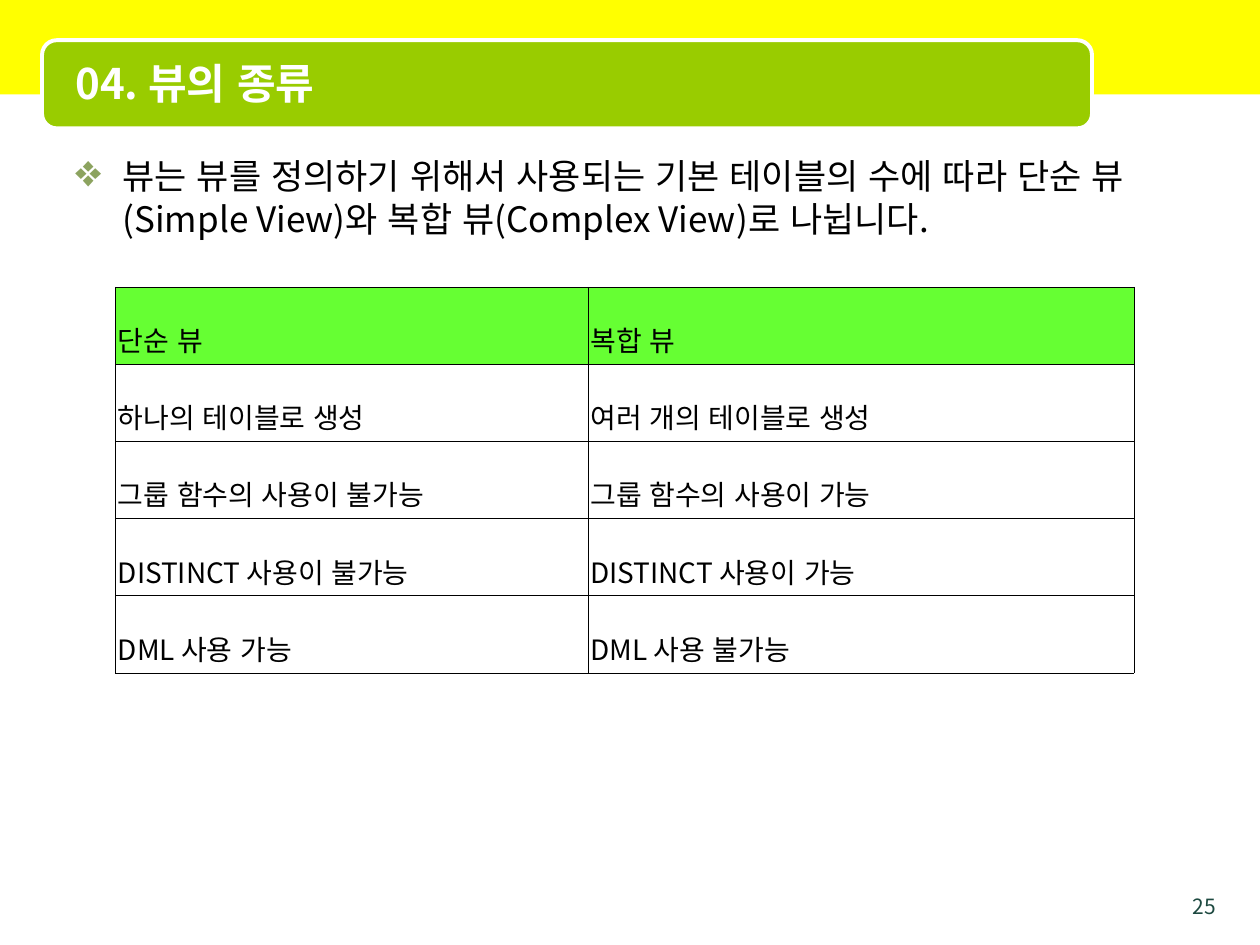
"""Builds a slide comparing simple views and complex views."""
import lxml.etree
import pptx
import pptx.dml.color
import pptx.enum.lang
import pptx.enum.shapes
import pptx.enum.text
import pptx.oxml
import pptx.oxml.ns
import pptx.util

Pt = pptx.util.Pt
RGB = pptx.dml.color.RGBColor.from_string
ALIGN = pptx.enum.text.PP_ALIGN
MIDDLE = pptx.enum.text.MSO_ANCHOR.MIDDLE
SHAPE = pptx.enum.shapes.MSO_SHAPE
KOREAN = pptx.enum.lang.MSO_LANGUAGE_ID.KOREAN
qn = pptx.oxml.ns.qn

TITLE = "04. 뷰의 종류"
SUMMARY = ("뷰는 뷰를 정의하기 위해서 사용되는 기본 테이블의 수에 따라 "
           "단순 뷰(Simple View)와 복합 뷰(Complex View)로 나뉩니다.")
COMPARISON = [
    ("단순 뷰", "복합 뷰"),
    ("하나의 테이블로 생성", "여러 개의 테이블로 생성"),
    ("그룹 함수의 사용이 불가능", "그룹 함수의 사용이 가능"),
    ("DISTINCT 사용이 불가능", "DISTINCT 사용이 가능"),
    ("DML 사용 가능", "DML 사용 불가능"),
]
PAGE_NUMBER = "25"

THEME = {
    "font": "Noto Sans CJK KR",
    "band": "FFFF00", "banner": "99CC00", "light": "FFFFFF",
    "ink": "000000", "bullet": "8CA35F", "header": "66FF33", "page": "1D4940",
    "title_size": 24, "body_size": 20, "cell_size": 16, "page_size": 12,
}
COLUMN_WIDTHS = (270, 312)
ROW_HEIGHT = 44.1
BORDER_WIDTH = 0.11


def write(frame, text, size, color="ink", bold=False, align=ALIGN.LEFT,
          spacing=None, bullet=None, indent=0):
    frame.word_wrap = True
    paragraph = frame.paragraphs[0]
    paragraph.alignment = align
    if spacing:
        paragraph.line_spacing = spacing
    if bullet:
        properties = paragraph._p.get_or_add_pPr()
        properties.set("marL", str(Pt(indent)))
        properties.set("indent", str(-Pt(indent)))
        bullet_color = lxml.etree.SubElement(properties, qn("a:buClr"))
        lxml.etree.SubElement(bullet_color, qn("a:srgbClr"), val=THEME["bullet"])
        lxml.etree.SubElement(properties, qn("a:buSzPct"), val="130000")
        lxml.etree.SubElement(properties, qn("a:buChar"), char=bullet)
    run = paragraph.add_run()
    run.text = text
    run.font.size = Pt(THEME[size])
    run.font.bold = bold
    run.font.color.rgb = RGB(THEME[color])
    run.font.language_id = KOREAN
    run.font.name = THEME["font"]
    lxml.etree.SubElement(run._r.get_or_add_rPr(), qn("a:ea"), typeface=THEME["font"])


def add_panel(slide, kind, box, color):
    panel = slide.shapes.add_shape(kind, *map(Pt, box))
    panel.shadow.inherit = False
    panel.fill.solid()
    panel.fill.fore_color.rgb = RGB(THEME[color])
    panel.line.fill.background()
    return panel


def add_text(slide, box, text, size, **style):
    frame = slide.shapes.add_textbox(*map(Pt, box)).text_frame
    write(frame, text, size, **style)
    return frame


def add_borders(cell):
    properties = cell._tc.get_or_add_tcPr()
    for position, side in enumerate(("a:lnL", "a:lnR", "a:lnT", "a:lnB")):
        border = lxml.etree.Element(qn(side), w=str(Pt(BORDER_WIDTH)))
        fill = lxml.etree.SubElement(border, qn("a:solidFill"))
        lxml.etree.SubElement(fill, qn("a:srgbClr"), val=THEME["ink"])
        properties.insert(position, border)


def add_comparison(slide, left, top):
    size = (sum(COLUMN_WIDTHS), ROW_HEIGHT * len(COMPARISON))
    table = slide.shapes.add_table(len(COMPARISON), len(COLUMN_WIDTHS),
                                   *map(Pt, (left, top, *size))).table
    table.first_row = table.horz_banding = False
    for column, width in zip(table.columns, COLUMN_WIDTHS):
        column.width = Pt(width)
    for row, labels in enumerate(COMPARISON):
        table.rows[row].height = Pt(ROW_HEIGHT)
        for column, label in enumerate(labels):
            cell = table.cell(row, column)
            cell.margin_left = cell.margin_right = Pt(1.4)
            cell.margin_top, cell.margin_bottom = Pt(4.7), Pt(8.7)
            cell.vertical_anchor = MIDDLE
            if row == 0:
                cell.fill.solid()
                cell.fill.fore_color.rgb = RGB(THEME["header"])
            else:
                cell.fill.background()
            add_borders(cell)
            write(cell.text_frame, label, "cell_size", align=ALIGN.JUSTIFY, spacing=1.6)


def main():
    deck = pptx.Presentation()
    deck.slide_width, deck.slide_height = Pt(720), Pt(540)
    slide = deck.slides.add_slide(deck.slide_layouts[6])

    add_panel(slide, SHAPE.RECTANGLE, (0, 0, 720, 54), "band")
    banner = add_panel(slide, SHAPE.ROUNDED_RECTANGLE, (24, 23, 600, 50.4), "banner")
    banner.line.color.rgb = RGB(THEME["light"])
    banner.line.width = Pt(2.25)

    add_text(slide, (666, 507, 36, 15), PAGE_NUMBER, "page_size",
             color="page", align=ALIGN.RIGHT)
    heading = add_text(slide, (36, 25.2, 600, 44.6), TITLE, "title_size",
                       color="light", bold=True)
    heading.vertical_anchor = MIDDLE
    add_text(slide, (36, 85, 648, 442), SUMMARY, "body_size",
             bullet="❖", indent=27)
    add_comparison(slide, 66, 164)
    deck.save("out.pptx")


if __name__ == "__main__":
    main()
